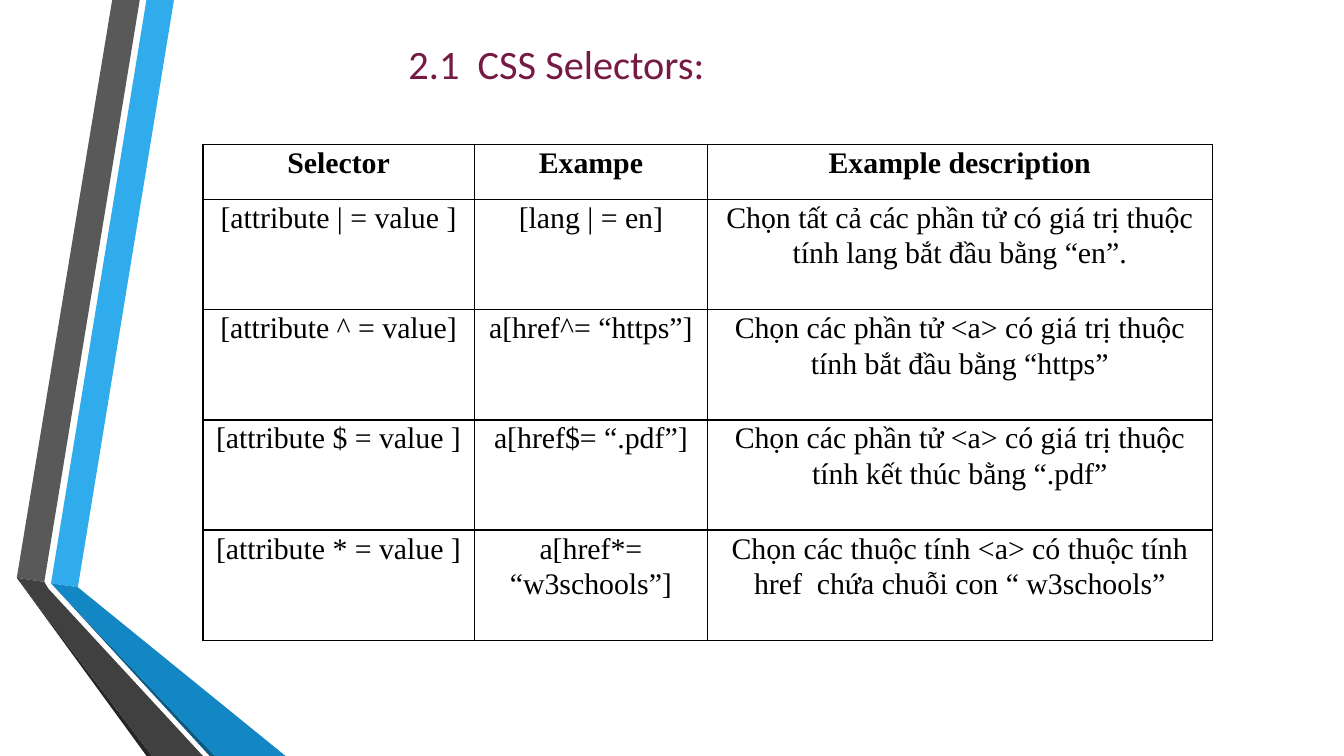
import lxml.etree
import pptx
import pptx.dml.color
import pptx.enum.text
import pptx.oxml.ns
import pptx.util

PX = 4572
SLIDE_SIZE = (2000, 1125)
RIBBON_BOX = (25, 0, 400, 1125)
TITLE_BOX = (163, 32, 1344, 118)
TABLE_BOX = (302, 215, 1502, 738)

RIBBON_FACES = [
    ("30ACEC", [(51, 868), (91, 874), (234, 0), (193, 0)]),
    ("595959", [(183, 0), (142, 0), (0, 860), (41, 866)]),
    ("262626", [(0, 860), (193, 1125), (201, 1125)]),
    ("0C5A82", [(51, 868), (287, 1125), (295, 1125)]),
    ("1287C3", [(51, 868), (295, 1125), (400, 1125), (91, 874)]),
    ("404040", [(277, 1125), (47, 876), (41, 866), (0, 860), (201, 1125)]),
]
COLUMN_WIDTHS = [404, 347, 751]
HEADER_HEIGHT = 82
SELECTORS = [
    ("Selector", "Exampe", "Example description"),
    ("[attribute | = value ]", "[lang | = en]",
     "Chọn tất cả các phần tử có giá trị thuộc tính lang bắt đầu bằng “en”."),
    ("[attribute ^ = value]", "a[href^= “https”]",
     "Chọn các phần tử <a> có giá trị thuộc tính bắt đầu bằng “https”"),
    ("[attribute $ = value ]", "a[href$= “.pdf”]",
     "Chọn các phần tử <a> có giá trị thuộc tính kết thúc bằng “.pdf”"),
    ("[attribute * = value ]", "a[href*= “w3schools”]",
     "Chọn các thuộc tính <a> có thuộc tính href  chứa chuỗi con “ w3schools”"),
]


def px(length):
    """Turn px into EMU."""
    return pptx.util.Emu(length * PX)


def color(hex_value):
    """Return the RGB colour of a hex string."""
    return pptx.dml.color.RGBColor.from_string(hex_value)


def write(frame, text, font, size, hex_value, bold=False):
    """Write one centred run in the first paragraph and return the paragraph."""
    paragraph = frame.paragraphs[0]
    paragraph.alignment = pptx.enum.text.PP_ALIGN.CENTER
    run = paragraph.add_run()
    run.text = text
    run.font.name = font
    run.font.size = pptx.util.Pt(size)
    run.font.bold = bold
    run.font.color.rgb = color(hex_value)
    return paragraph


def add_ribbon(slide, box):
    """Draw the folded grey and blue ribbon from the corner of its box."""
    left, top, _, _ = box
    for hex_value, corners in RIBBON_FACES:
        outline = slide.shapes.build_freeform(*corners[0], scale=PX)
        outline.add_line_segments(corners[1:], close=True)
        face = outline.convert_to_shape(px(left), px(top))
        face.shadow.inherit = False
        face.fill.solid()
        face.fill.fore_color.rgb = color(hex_value)
        face.line.fill.background()


def add_title(slide, box):
    """Place the heading at the bottom of its box."""
    heading = slide.shapes.add_textbox(*map(px, box)).text_frame
    heading.word_wrap = True
    heading.vertical_anchor = pptx.enum.text.MSO_ANCHOR.BOTTOM
    heading.margin_left = heading.margin_right = px(20)
    heading.margin_top = heading.margin_bottom = px(20)
    write(heading, "2.1  CSS Selectors: ", "Calibri", 21.6, "751A43")


def add_borders(cell, hex_value, points):
    """Draw a solid line on the four sides of a cell."""
    qn = pptx.oxml.ns.qn
    properties = cell._tc.get_or_add_tcPr()
    for side in ("a:lnL", "a:lnR", "a:lnT", "a:lnB"):
        border = lxml.etree.SubElement(properties, qn(side), w=str(pptx.util.Pt(points)))
        fill = lxml.etree.SubElement(border, qn("a:solidFill"))
        lxml.etree.SubElement(fill, qn("a:srgbClr"), val=hex_value)


def add_selector_table(slide, box):
    """Fill the box with the selectors, their examples and descriptions."""
    height = box[3]
    frame = slide.shapes.add_table(len(SELECTORS), len(COLUMN_WIDTHS), *map(px, box))
    table = frame.table
    table.first_row = table.horz_banding = False
    for column, width in zip(table.columns, COLUMN_WIDTHS):
        column.width = px(width)
    body_height = (height - HEADER_HEIGHT) // (len(SELECTORS) - 1)
    for row_index, texts in enumerate(SELECTORS):
        is_header = row_index == 0
        table.rows[row_index].height = px(HEADER_HEIGHT if is_header else body_height)
        for column_index, text in enumerate(texts):
            cell = table.cell(row_index, column_index)
            cell.margin_left = cell.margin_right = px(14)
            cell.margin_top = cell.margin_bottom = 0
            add_borders(cell, "000000", 0.75)
            cell.fill.background()
            paragraph = write(cell.text_frame, text, "Times New Roman", 16, "000000", is_header)
            paragraph.line_spacing = 1.07


def main():
    """Build the slide and save it."""
    presentation = pptx.Presentation()
    presentation.slide_width, presentation.slide_height = map(px, SLIDE_SIZE)
    slide = presentation.slides.add_slide(presentation.slide_layouts[6])
    add_ribbon(slide, RIBBON_BOX)
    add_title(slide, TITLE_BOX)
    add_selector_table(slide, TABLE_BOX)
    presentation.save("out.pptx")


if __name__ == "__main__":
    main()
